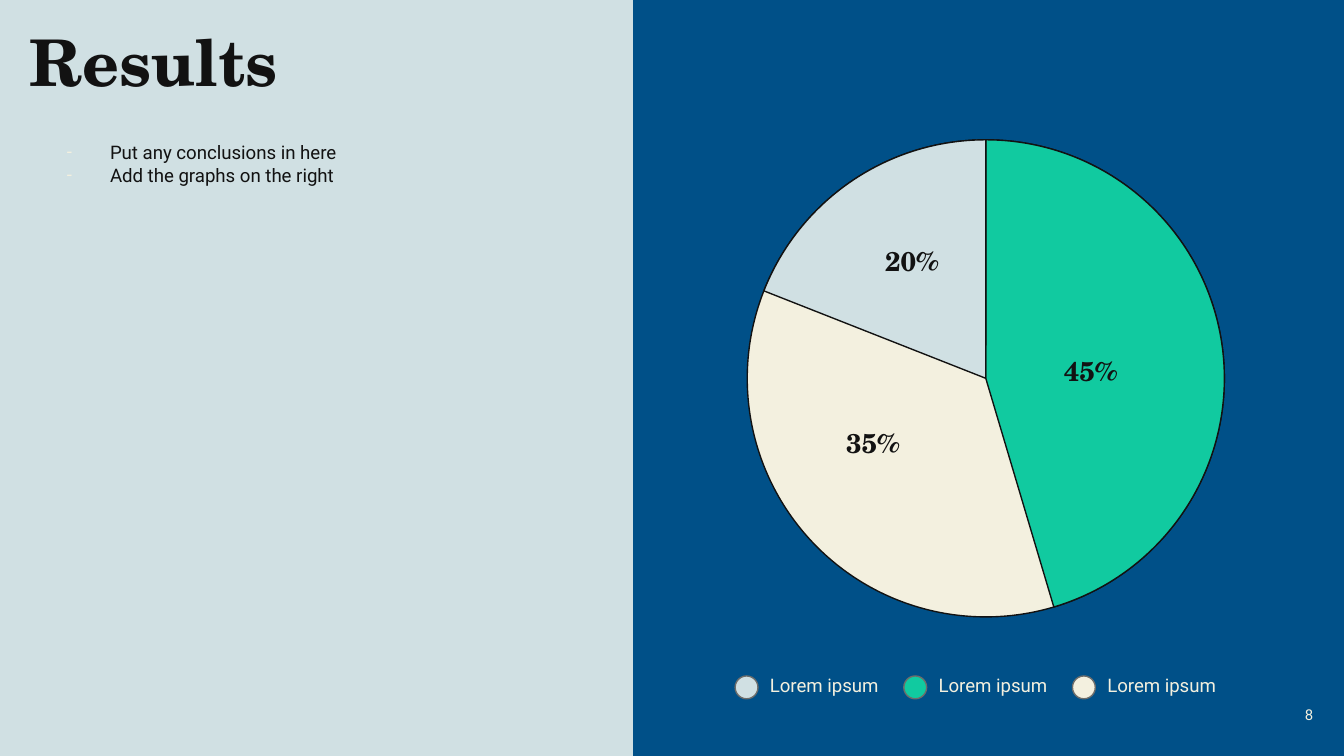
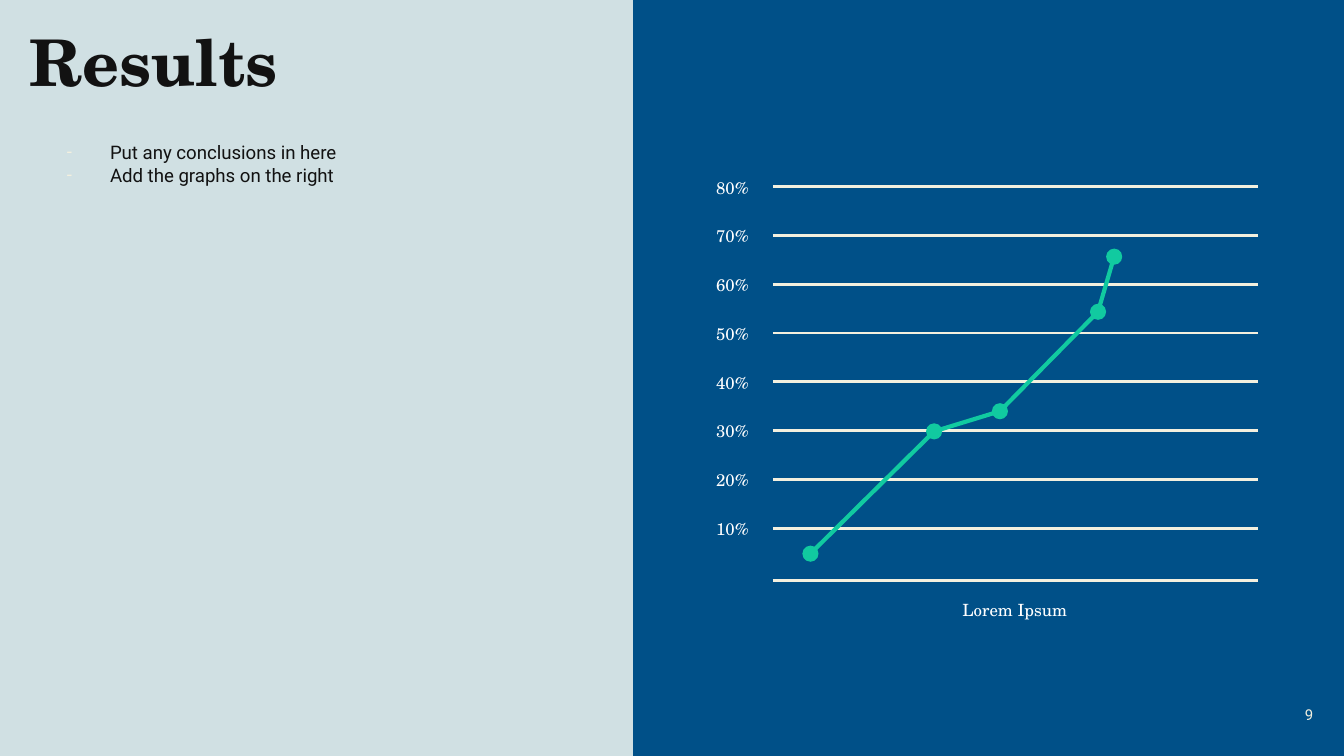
"""Builds two results slides: one with a pie chart, one with a line chart."""
from dataclasses import dataclass
from itertools import pairwise
from typing import Any

from lxml import etree
from pptx import Presentation
from pptx.dml.color import RGBColor
from pptx.enum import shapes as shape_enum, text as text_enum
from pptx.oxml import ns
from pptx.util import Inches, Pt

WIDTH = 10
HEIGHT = WIDTH * 9 / 16
PANEL_LEFT = 4.71
MIST, NAVY, CREAM, GREEN = "D0E0E3", "005088", "F3F0DF", "11CAA0"
INK, GREY, WHITE = "121212", "6D6D6B", "FFFFFF"
SERIF, SANS = "TeX Gyre Schola", "Roboto"
SHAPE = shape_enum.MSO_SHAPE
ALIGN = text_enum.PP_ALIGN
ANCHOR = text_enum.MSO_ANCHOR
CONCLUSIONS = ["Put any conclusions in here", "Add the graphs on the right"]


@dataclass(frozen=True)
class Box:
    """A rectangle in inches."""

    left: float
    top: float
    width: float
    height: float

    def lengths(self) -> tuple[Inches, Inches, Inches, Inches]:
        """Return left, top, width and height as lengths."""
        return (Inches(self.left), Inches(self.top),
                Inches(self.width), Inches(self.height))


@dataclass(frozen=True)
class TextStyle:
    """The look of a block of text."""

    font: str
    size: float
    color: str
    bold: bool = False
    align: Any = ALIGN.LEFT
    anchor: Any = ANCHOR.MIDDLE
    spacing: float = 1.0


@dataclass(frozen=True)
class Slice:
    """A pie sector with its start and end angles in degrees."""

    start: float
    end: float
    color: str


@dataclass(frozen=True)
class Label:
    """A short text with its top left corner."""

    words: str
    left: float
    top: float


@dataclass(frozen=True)
class Point:
    """A place on the slide in inches."""

    x: float
    y: float


TITLE = TextStyle(SERIF, 34.5, INK, bold=True, anchor=ANCHOR.BOTTOM, spacing=0.9)
BODY = TextStyle(SANS, 10, INK, anchor=ANCHOR.TOP)
PAGE = TextStyle(SANS, 8, CREAM, align=ALIGN.RIGHT)
SHARE = TextStyle(SERIF, 14.5, INK, bold=True, align=ALIGN.CENTER)
LEGEND = TextStyle(SANS, 10, CREAM, spacing=0.9)
TICK = TextStyle(SERIF, 9, WHITE, align=ALIGN.CENTER)
AXIS = TextStyle(SERIF, 9, WHITE, align=ALIGN.CENTER, anchor=ANCHOR.TOP, spacing=1.3)

PIE_BOX = Box(5.56, 1.04, 3.55, 3.55)
SLICES = [Slice(270.06, 270, CREAM), Slice(270.06, 73.43, GREEN),
          Slice(201.51, 270, MIST)]
SHARES = [Label("45%", 7.77, 2.57), Label("35%", 6.15, 3.1),
          Label("20%", 6.44, 1.75)]
LEGEND_COLORS = [MIST, GREEN, CREAM]
LEGEND_LEFT, LEGEND_LAST = 5.47, 7.98
LEGEND_STEP = (LEGEND_LAST - LEGEND_LEFT) / (len(LEGEND_COLORS) - 1)

GRID_LEFT, GRID_RIGHT = 5.75, 9.36
GRID_TOP, GRID_LAST, GRID_BASE = 1.39, 3.93, 4.32
TICKS = [f"{value}%" for value in range(80, 0, -10)]
GRID_STEP = (GRID_LAST - GRID_TOP) / (len(TICKS) - 1)
MARKER = 0.12
POINTS = [Point(6.03, 4.12), Point(6.95, 3.21), Point(7.44, 3.06),
          Point(8.17, 2.32), Point(8.29, 1.91)]


def rgb(color: str) -> RGBColor:
    """Turn a hex string into a colour."""
    return RGBColor.from_string(color)


def add_text(shapes: Any, box: Box, words: str, style: TextStyle) -> Any:
    """Add a styled text box and return its text frame."""
    text_frame = shapes.add_textbox(*box.lengths()).text_frame
    text_frame.word_wrap = True
    text_frame.vertical_anchor = style.anchor
    for side in ("left", "top", "right", "bottom"):
        setattr(text_frame, f"margin_{side}", Inches(0.1))
    text_frame.text = words
    for paragraph in text_frame.paragraphs:
        paragraph.alignment = style.align
        paragraph.line_spacing = style.spacing
        for run in paragraph.runs:
            run.font.name = style.font
            run.font.size = Pt(style.size)
            run.font.bold = style.bold
            run.font.color.rgb = rgb(style.color)
    return text_frame


def add_filled(shapes: Any, kind: Any, box: Box, fill: str,
               outline: str | None = None) -> Any:
    """Add a preset shape with a solid fill and an optional outline."""
    shape = shapes.add_shape(kind, *box.lengths())
    shape.shadow.inherit = False
    shape.fill.solid()
    shape.fill.fore_color.rgb = rgb(fill)
    if outline:
        shape.line.color.rgb = rgb(outline)
        shape.line.width = Pt(0.75)
    else:
        shape.line.fill.background()
    return shape


def add_line(shapes: Any, start: Point, end: Point, color: str, width: float) -> None:
    """Add a straight line without a shadow."""
    connector = shapes.add_connector(
        shape_enum.MSO_CONNECTOR.STRAIGHT, Inches(start.x), Inches(start.y),
        Inches(end.x), Inches(end.y))
    connector.line.color.rgb = rgb(color)
    connector.line.width = Pt(width)
    etree.SubElement(connector._element.spPr, ns.qn("a:effectLst"))


def add_dash(paragraph: Any) -> None:
    """Give a paragraph a hanging dash bullet."""
    properties = paragraph._p.get_or_add_pPr()
    properties.set("marL", str(Inches(0.5)))
    properties.set("indent", str(Inches(-0.32)))
    bullet_color = etree.SubElement(properties, ns.qn("a:buClr"))
    etree.SubElement(bullet_color, ns.qn("a:srgbClr"), val=CREAM)
    etree.SubElement(properties, ns.qn("a:buFont"), typeface=SANS)
    etree.SubElement(properties, ns.qn("a:buChar"), char="-")


def add_results_slide(presentation: Any, number: int) -> Any:
    """Add a slide with the shared panel, title, conclusions and page number."""
    slide = presentation.slides.add_slide(presentation.slide_layouts[6])
    slide.background.fill.solid()
    slide.background.fill.fore_color.rgb = rgb(MIST)
    panel = Box(PANEL_LEFT, 0, WIDTH - PANEL_LEFT, HEIGHT)
    add_filled(slide.shapes, SHAPE.RECTANGLE, panel, NAVY)
    add_text(slide.shapes, Box(9.27, 5.1, 0.6, 0.43), str(number), PAGE)
    add_text(slide.shapes, Box(0.12, 0.11, 3.45, 0.74), "Results", TITLE)
    body = add_text(slide.shapes, Box(0.22, 0.95, 3.45, 1.99),
                    "\n".join(CONCLUSIONS), BODY)
    for paragraph in body.paragraphs:
        add_dash(paragraph)
    return slide


def draw_pie(slide: Any) -> None:
    """Draw the pie, its shares and its legend."""
    pie = slide.shapes.add_group_shape().shapes
    for sector in SLICES:
        shape = add_filled(pie, SHAPE.PIE, PIE_BOX, sector.color, INK)
        shape.adjustments[0] = sector.start * 0.6
        shape.adjustments[1] = sector.end * 0.6
    for share in SHARES:
        add_text(pie, Box(share.left, share.top, 0.69, 0.38), share.words, SHARE)
    for index, color in enumerate(LEGEND_COLORS):
        left = LEGEND_LEFT + index * LEGEND_STEP
        add_text(slide.shapes, Box(left + 0.16, 4.98, 1.09, 0.25),
                 "Lorem ipsum", LEGEND)
        add_filled(slide.shapes, SHAPE.OVAL, Box(left, 5.03, 0.17, 0.17), color, GREY)


def draw_line_chart(slide: Any) -> None:
    """Draw the grid, its labels and the line with markers."""
    levels = [GRID_TOP + index * GRID_STEP for index in range(len(TICKS))]
    for level in [*levels, GRID_BASE]:
        add_line(slide.shapes, Point(GRID_LEFT, level), Point(GRID_RIGHT, level),
                 CREAM, 1.5)
    for level, tick in zip(levels, TICKS):
        add_text(slide.shapes, Box(5.15, level - 0.11, 0.6, 0.23), tick, TICK)
    for start, end in pairwise(POINTS):
        add_line(slide.shapes, start, end, GREEN, 2.25)
    for point in POINTS:
        marker = Box(point.x - MARKER / 2, point.y - MARKER / 2, MARKER, MARKER)
        add_filled(slide.shapes, SHAPE.OVAL, marker, GREEN)
    add_text(slide.shapes, Box(6.94, GRID_BASE, 1.22, 0.33), "Lorem Ipsum", AXIS)


def main() -> None:
    """Build and save the presentation."""
    presentation = Presentation()
    presentation.slide_width = Inches(WIDTH)
    presentation.slide_height = Inches(HEIGHT)
    for number, draw in enumerate((draw_pie, draw_line_chart), start=8):
        draw(add_results_slide(presentation, number))
    presentation.save("out.pptx")


if __name__ == "__main__":
    main()
